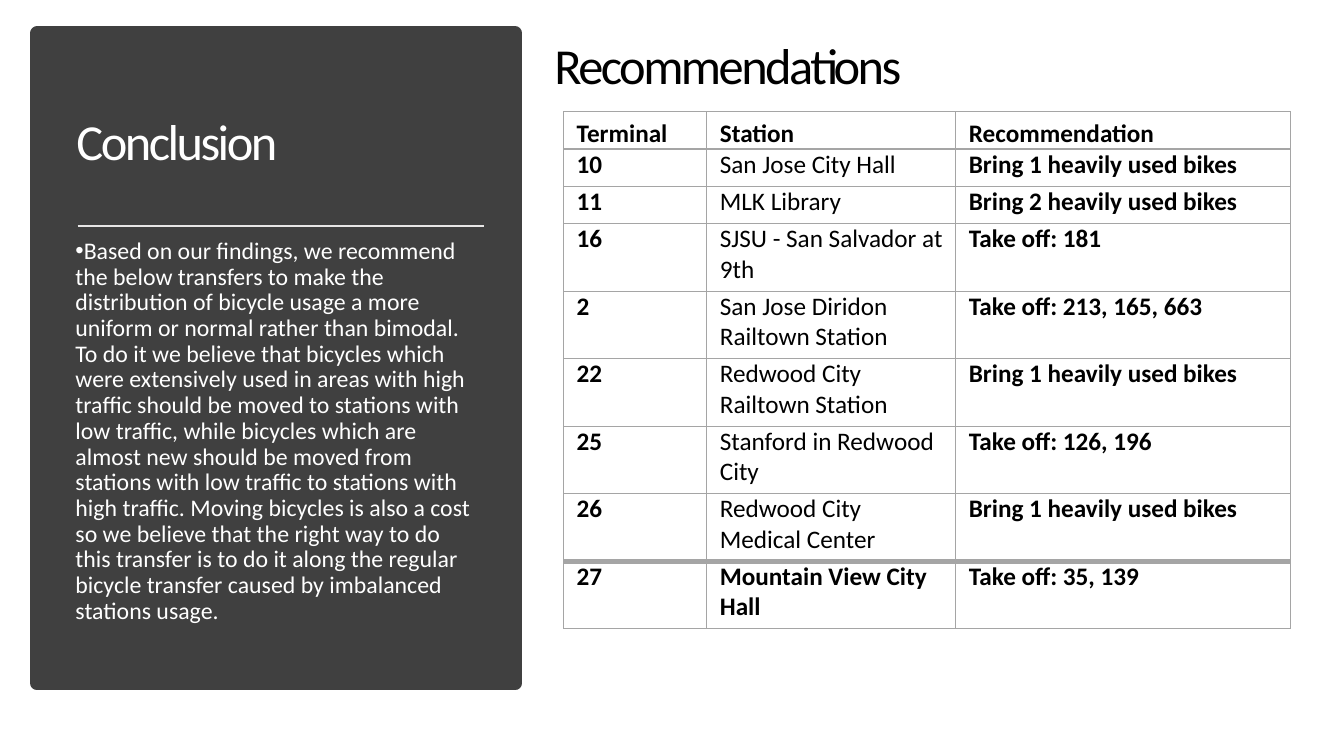
from pptx import Presentation
from pptx.dml.color import RGBColor as RGB
from pptx.enum.shapes import MSO_CONNECTOR as Conn, MSO_SHAPE as Shape
from pptx.enum.text import MSO_ANCHOR as Anchor
from pptx.oxml.ns import qn
from pptx.util import Inches, Pt
from lxml.etree import SubElement as Sub

HUE = {"panel": "404040", "rule": "E7E6E6", "grid": "A5A5A5",
       "light": "FFFFFF", "dark": "000000"}


def write(frame, text, size=18, hue="dark", bold=False, gap=0,
          lead=1.0, track=None, bullet=False, left=0, anchor=Anchor.TOP):
    frame.word_wrap = True
    frame.vertical_anchor = anchor
    para = frame.paragraphs[0]
    para.line_spacing = lead
    para.space_before = para.space_after = Pt(gap)
    props = para._p.get_or_add_pPr()
    props.set("marL", str(Inches(left)))
    props.set("indent", str(Inches(-0.25 if bullet else 0)))
    if bullet:
        Sub(props, qn("a:buFont"), typeface="Arial")
        Sub(props, qn("a:buChar"), char="•")
    run = para.add_run()
    run.text = text
    font = run.font
    font.name, font.size, font.bold = "Calibri", Pt(size), bold
    font.color.rgb = RGB.from_string(HUE[hue])
    if track:
        run._r.get_or_add_rPr().set("spc", str(int(track * 100)))


def edge(cell, **sides):
    props = cell._tc.get_or_add_tcPr()
    for at, (side, width) in enumerate(sides.items()):
        line = props.makeelement(qn("a:ln" + side), {"w": str(Pt(width))})
        props.insert(at, line)
        Sub(Sub(line, qn("a:solidFill")), qn("a:srgbClr"), val=HUE["grid"])


deck = Presentation()
deck.slide_width, deck.slide_height = Inches(13.33), Inches(7.5)
slide = deck.slides.add_slide(deck.slide_layouts[6])
shapes = slide.shapes

# Dark panel
panel = shapes.add_shape(Shape.RECTANGLE, Inches(0.37), Inches(0.33),
                         Inches(4.74), Inches(6.45))
panel.shadow.inherit = False
panel.fill.solid()
panel.fill.fore_color.rgb = RGB.from_string(HUE["panel"])
panel.line.color.rgb = RGB.from_string(HUE["panel"])
panel.line.width = Pt(10)

# Headings
for text, left, top, hue in [("Conclusion", 0.65, 0.7, "light"),
                             ("Recommendations", 5.39, -0.06, "dark")]:
    box = shapes.add_textbox(Inches(left), Inches(top),
                             Inches(4.18), Inches(1.47))
    write(box.text_frame, text, size=36, hue=hue, lead=0.9, track=-1.8,
          left=0.01, anchor=Anchor.MIDDLE)

# Rule under the conclusion heading
rule = shapes.add_connector(Conn.STRAIGHT, Inches(0.77), Inches(2.24),
                            Inches(4.8), Inches(2.24))
rule.line.color.rgb = RGB.from_string(HUE["rule"])
rule.line.width = Pt(1.75)
Sub(rule._element.spPr, qn("a:effectLst"))

# Conclusion text
body = shapes.add_textbox(Inches(0.65), Inches(2.32),
                          Inches(4.18), Inches(4.13))
write(body.text_frame,
      "Based on our findings, we recommend the below transfers to make the "
      "distribution of bicycle usage a more uniform or normal rather than "
      "bimodal. To do it we believe that bicycles which were extensively used "
      "in areas with high traffic should be moved to stations with low "
      "traffic, while bicycles which are almost new should be moved from "
      "stations with low traffic to stations with high traffic. Moving "
      "bicycles is also a cost so we believe that the right way to do this "
      "transfer is to do it along the regular bicycle transfer caused by "
      "imbalanced stations usage.",
      size=17, hue="light", gap=6, lead=0.9, bullet=True)

# Transfer table
bring = "Bring {} heavily used bikes".format
rows = [
    ("Terminal", "Station", "Recommendation"),
    ("10", "San Jose City Hall", bring(1)),
    ("11", "MLK Library", bring(2)),
    ("16", "SJSU - San Salvador at 9th", "Take off: 181"),
    ("2", "San Jose Diridon Railtown Station", "Take off: 213, 165, 663"),
    ("22", "Redwood City Railtown Station", bring(1)),
    ("25", "Stanford in Redwood City", "Take off: 126, 196"),
    ("26", "Redwood City Medical Center", bring(1)),
    ("27", "Mountain View City Hall", "Take off: 35, 139"),
]
last = len(rows) - 1
table = shapes.add_table(len(rows), 3, Inches(5.59), Inches(1.11),
                         Inches(7.21), Inches(5.1)).table
table.first_row = table.horz_banding = False
for col, width in zip(table.columns, (1.42, 2.47, 3.32)):
    col.width = Inches(width)
for r, row in enumerate(rows):
    table.rows[r].height = Inches(0.37 if r < 3 else 0.67)
    above = {1: 2, last: 4}.get(r, 1)
    below = {0: 2, last - 1: 4}.get(r, 1)
    for c, text in enumerate(row):
        cell = table.cell(r, c)
        cell.margin_left = cell.margin_right = Inches(0.13)
        cell.margin_top = cell.margin_bottom = 0
        cell.fill.background()
        write(cell.text_frame, text, gap=1.8,
              bold=c != 1 or r in (0, last))
        cell.vertical_anchor = Anchor.TOP if r else Anchor.BOTTOM
        edge(cell, L=1, R=1, T=above, B=below)

deck.save("out.pptx")
